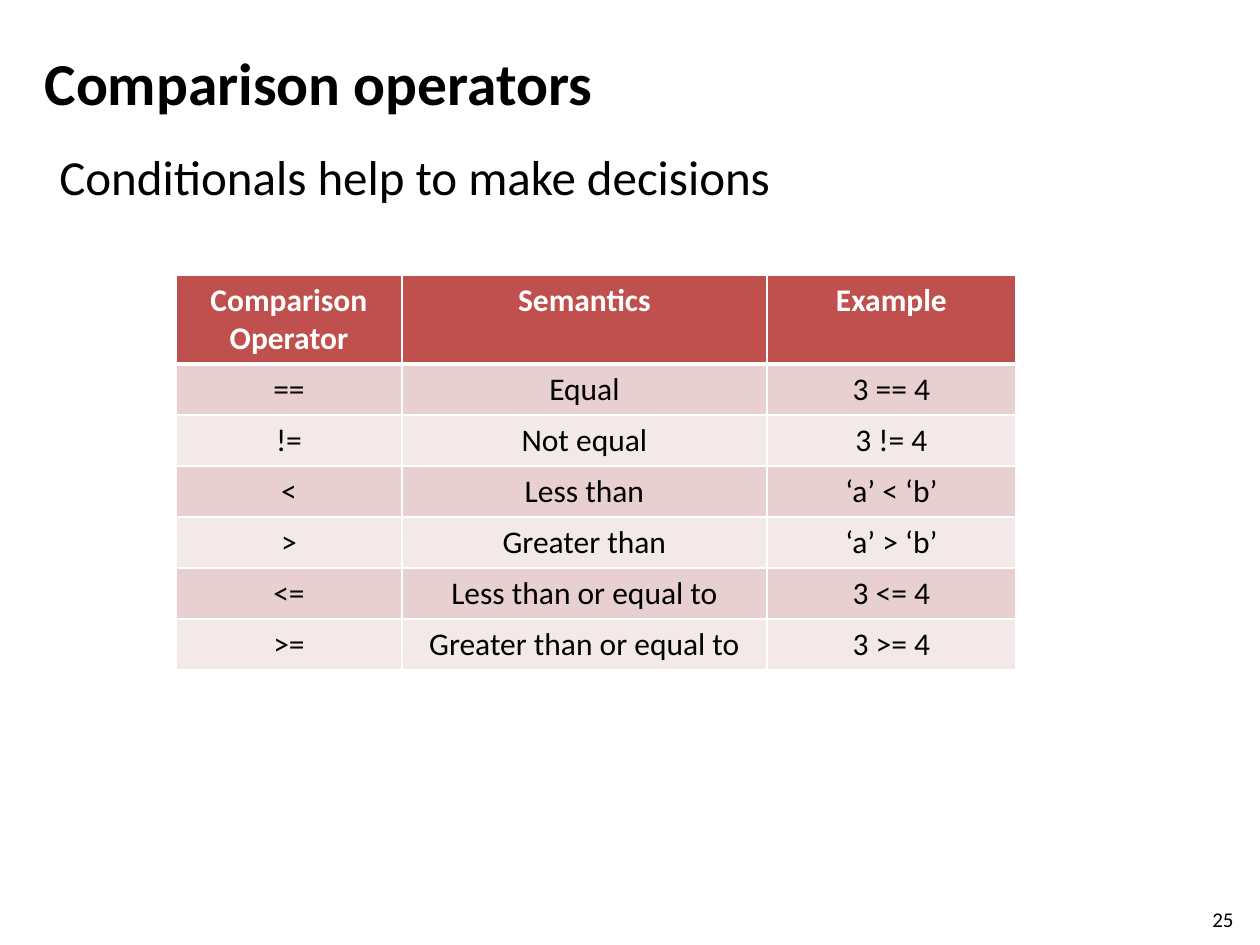
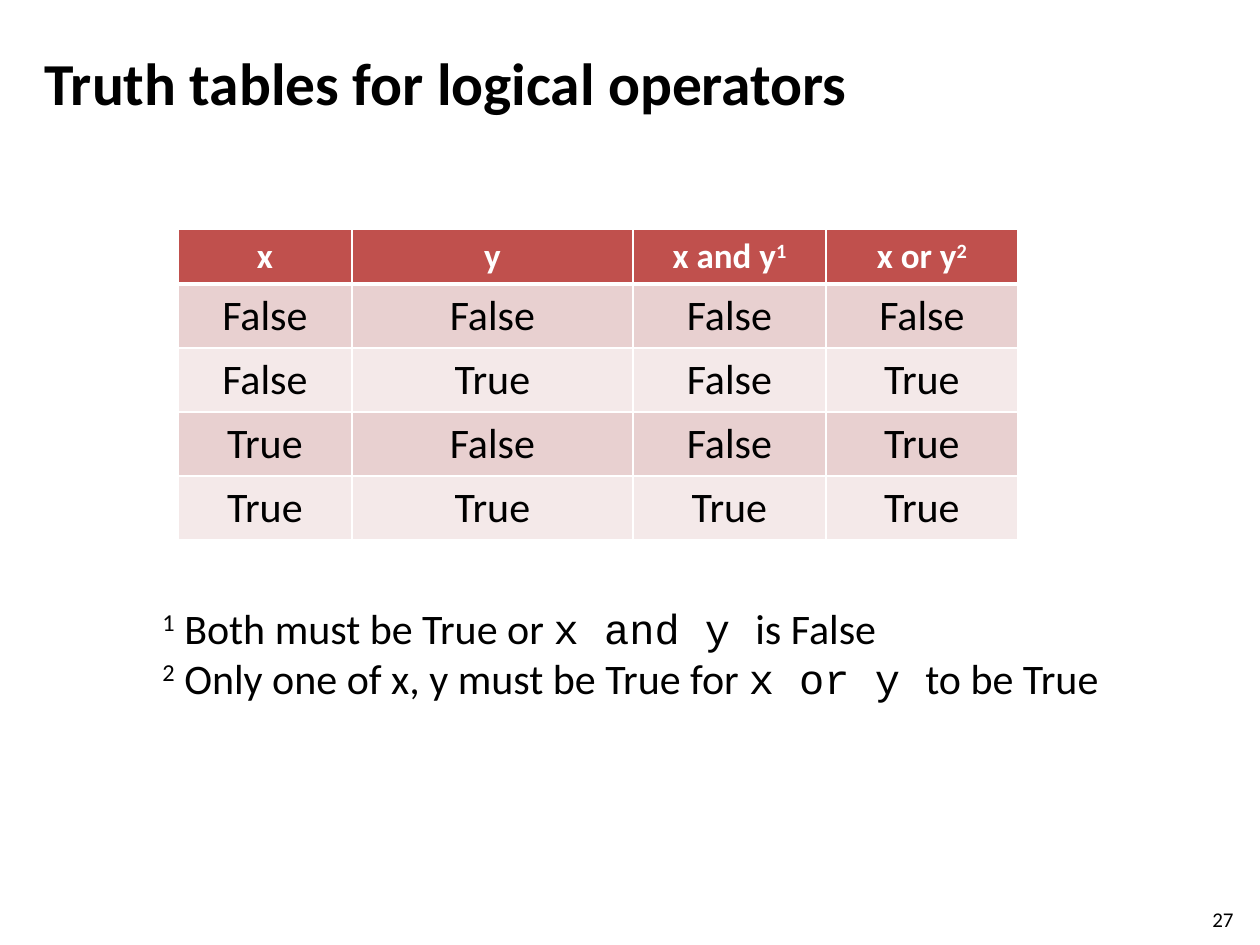
from lxml import etree
from pptx import Presentation
from pptx import util as u
from pptx.dml.color import RGBColor
from pptx.enum import text as t
from pptx.oxml.ns import qn

PX = 914400 / 126
COLORS = {
    "ink": "000000",
    "paper": "FFFFFF",
    "header": "C0504D",
    "band_dark": "E8D0D0",
    "band_light": "F4E9E9",
}
BODY_FONT, CODE_FONT = "Calibri", "Courier New"
TITLE_BOX = (32, 38, 1092, 88)
NUMBER_BOX = (1200, 900, 50, 30)


def emu(*lengths):
    return [round(length * PX) for length in lengths]


def rgb(name):
    return RGBColor.from_string(COLORS[name])


def sup(content):
    return content, "sup"


def code(content):
    return content, "code"


def add_runs(paragraph, parts, size, color="ink", bold=False):
    """Add each part, a plain string or a marked (text, style) pair, as a run."""
    for part in parts:
        content, style = part if isinstance(part, tuple) else (part, "plain")
        run = paragraph.add_run()
        run.text = content
        run.font.name = CODE_FONT if style == "code" else BODY_FONT
        run.font.size = u.Pt(size)
        run.font.bold = bold
        run.font.color.rgb = rgb(color)
        if style == "sup":
            run.font._element.set("baseline", "30000")


def fill_frame(frame, lines, size, align=t.PP_ALIGN.LEFT, **look):
    for i, parts in enumerate(lines):
        paragraph = frame.add_paragraph() if i else frame.paragraphs[0]
        paragraph.alignment = align
        add_runs(paragraph, parts, size, **look)


def add_text(slide, box, lines, size, wrap=True):
    frame = slide.shapes.add_textbox(*emu(*box)).text_frame
    frame.word_wrap = wrap
    fill_frame(frame, lines, size)


def set_borders(cell, **widths):
    """Draw the cell's edges (L, R, T, B) in the paper colour, widths in points."""
    props = cell._tc.get_or_add_tcPr()
    for edge in "LRTB":
        line = etree.SubElement(props, qn(f"a:ln{edge}"), w=str(u.Pt(widths.get(edge, 1))))
        fill = etree.SubElement(line, qn("a:solidFill"))
        etree.SubElement(fill, qn("a:srgbClr"), val=COLORS["paper"])


def add_banded_table(slide, left, top, columns, header, rows, header_height, row_height,
                     header_size, row_size):
    """Header cells are lists of lines; body cells are plain strings."""
    heights = [header_height] + [row_height] * len(rows)
    box = emu(left, top, sum(columns), sum(heights))
    table = slide.shapes.add_table(len(heights), len(columns), *box).table
    for column, width in zip(table.columns, emu(*columns)):
        column.width = width
    for row, height in zip(table.rows, emu(*heights)):
        row.height = height

    grid = [header] + [[[[value]] for value in row] for row in rows]
    for r, cells in enumerate(grid):
        if r == 0:
            fill, edges = "header", {"B": 3}
            look = {"size": header_size, "color": "paper", "bold": True}
        else:
            fill = "band_dark" if r % 2 else "band_light"
            edges = {"T": 3} if r == 1 else {}
            look = {"size": row_size}
        for c, lines in enumerate(cells):
            cell = table.cell(r, c)
            set_borders(cell, **edges)
            cell.fill.solid()
            cell.fill.fore_color.rgb = rgb(fill)
            fill_frame(cell.text_frame, lines, align=t.PP_ALIGN.CENTER, **look)


def add_titled_slide(prs, title, number):
    slide = prs.slides.add_slide(prs.slide_layouts[5])
    heading = slide.shapes.title
    heading.left, heading.top, heading.width, heading.height = emu(*TITLE_BOX)
    heading.text_frame.vertical_anchor = t.MSO_ANCHOR.MIDDLE
    fill_frame(heading.text_frame, [[title]], 34, bold=True)
    add_text(slide, NUMBER_BOX, [[str(number)]], 12)
    return slide


def comparison_slide(prs):
    slide = add_titled_slide(prs, "Comparison operators", 25)
    add_text(slide, (47, 140, 1166, 621), [["Conditionals help to make decisions"]], 28)
    add_banded_table(
        slide, 176, 275, (226, 365, 249),
        header=[[["Comparison"], ["Operator"]], [["Semantics"]], [["Example"]]],
        rows=[
            ("==", "Equal", "3 == 4"),
            ("!=", "Not equal", "3 != 4"),
            ("<", "Less than", "‘a’ < ‘b’"),
            (">", "Greater than", "‘a’ > ‘b’"),
            ("<=", "Less than or equal to", "3 <= 4"),
            (">=", "Greater than or equal to", "3 >= 4"),
        ],
        header_height=89, row_height=51, header_size=18, row_size=18)


def truth_table_slide(prs):
    slide = add_titled_slide(prs, "Truth tables for logical operators", 27)
    inputs = [(x, y) for x in (False, True) for y in (False, True)]
    add_banded_table(
        slide, 178, 229, (174, 281, 193, 192),
        header=[[["x"]], [["y"]], [["x and y", sup("1")]], [["x or y", sup("2")]]],
        rows=[[str(value) for value in (x, y, x and y, x or y)] for x, y in inputs],
        header_height=55, row_height=64, header_size=20, row_size=24)
    add_text(slide, (150, 596, 979, 115), [
        [sup("1"), " Both must be True or ", code("x and y "), "is False"],
        [sup("2"), " Only one of x, y must be True for ", code("x or y "), "to be True"],
    ], 24, wrap=False)


def main():
    prs = Presentation()
    prs.slide_width, prs.slide_height = emu(1260, 945)
    comparison_slide(prs)
    truth_table_slide(prs)
    prs.save("out.pptx")


if __name__ == "__main__":
    main()
